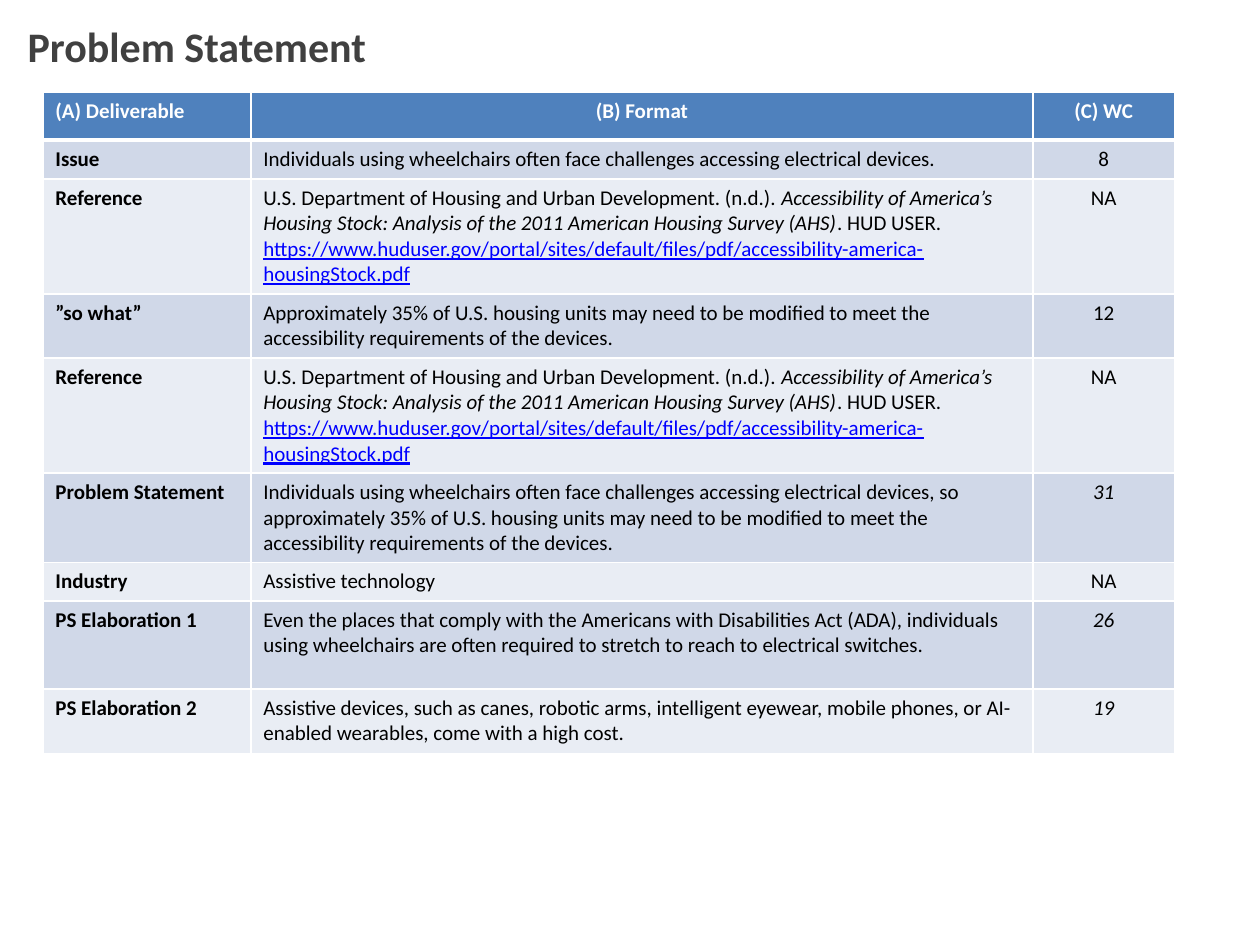
from lxml import etree
from pptx import Presentation
from pptx.dml.color import RGBColor
from pptx.enum.text import MSO_ANCHOR, PP_ALIGN
from pptx.oxml.ns import qn
from pptx.util import Inches, Pt

CENTER, LEFT = PP_ALIGN.CENTER, PP_ALIGN.LEFT
MIDDLE = MSO_ANCHOR.MIDDLE
FONT = "Calibri"
COLORS = {
    "title": "404040",
    "header": "4F81BD",
    "band_dark": "D0D8E8",
    "band_light": "E9EDF4",
    "white": "FFFFFF",
    "text": "000000",
    "link": "0000FF",
}
COLUMN_WIDTHS = [1.65, 6.21, 1.12]
ROW_HEIGHTS = [0.38, 0.31, 0.91, 0.51, 0.91, 0.71, 0.3, 0.7, 0.51]

# Each span is (text, style), where style is "", "italic" or "link".
CITATION = [
    ("U.S. Department of Housing and Urban Development. (n.d.). ", ""),
    ("Accessibility of America’s Housing Stock: Analysis of the 2011 "
     "American Housing Survey (AHS)", "italic"),
    (". HUD USER. ", ""),
    ("https://www.huduser.gov/portal/sites/default/files/pdf/"
     "accessibility-america-housingStock.pdf", "link"),
]
HEADERS = ["(A) Deliverable", "(B) Format", "(C) WC"]
# Deliverable, format spans, word count, style of the word count
ROWS = [
    ("Issue",
     [("Individuals using wheelchairs often face challenges accessing "
       "electrical devices.", "")], "8", ""),
    ("Reference", CITATION, "NA", ""),
    ("”so what”",
     [("Approximately 35% of U.S. housing units may need to be modified to "
       "meet the accessibility requirements of the devices.", "")], "12", ""),
    ("Reference", CITATION, "NA", ""),
    ("Problem Statement",
     [("Individuals using wheelchairs often face challenges accessing "
       "electrical devices, so approximately 35% of U.S. housing units may "
       "need to be modified to meet the accessibility requirements of the "
       "devices.", "")], "31", "italic"),
    ("Industry", [("Assistive technology", "")], "NA", ""),
    ("PS Elaboration 1",
     [("Even the places that comply with the Americans with Disabilities Act "
       "(ADA), individuals using wheelchairs are often required to stretch to "
       "reach to electrical switches.", "")], "26", "italic"),
    ("PS Elaboration 2",
     [("Assistive devices, such as canes, robotic arms, intelligent eyewear, "
       "mobile phones, or AI-enabled wearables, come with a high cost.", "")],
     "19", "italic"),
]


def rgb(name):
    return RGBColor.from_string(COLORS[name])


def add_span(para, text, size, color, bold=False, style=""):
    span = para.add_run()
    span.text = text
    font = span.font
    font.name, font.size, font.bold = FONT, Pt(size), bold
    font.italic = style == "italic"
    font.underline = style == "link"
    font.color.rgb = rgb("link" if style == "link" else color)


def set_borders(cell, top, bottom):
    """Draw white cell borders, one point wide at the sides."""
    properties = cell._tc.get_or_add_tcPr()
    widths = {"a:lnL": 1, "a:lnR": 1, "a:lnT": top, "a:lnB": bottom}
    for index, (tag, width) in enumerate(widths.items()):
        line = etree.Element(qn(tag), w=str(Pt(width)))
        fill = etree.SubElement(line, qn("a:solidFill"))
        etree.SubElement(fill, qn("a:srgbClr"), val=COLORS["white"])
        properties.insert(index, line)


def fill_cell(cell, spans, fill, color, bold=False, align=LEFT, top=1, bottom=1):
    cell.fill.solid()
    cell.fill.fore_color.rgb = rgb(fill)
    set_borders(cell, top, bottom)
    para = cell.text_frame.paragraphs[0]
    para.alignment = align
    for text, style in spans:
        add_span(para, text, 12, color, bold, style)


def add_title(page, text):
    box = page.shapes.add_textbox(Inches(0.12), Inches(0.11), Inches(8.48), Inches(0.5))
    frame = box.text_frame
    frame.word_wrap = True
    frame.vertical_anchor = MIDDLE
    add_span(frame.paragraphs[0], text, 24, "title", bold=True)


def add_deliverables_table(page):
    table = page.shapes.add_table(
        len(ROW_HEIGHTS), len(COLUMN_WIDTHS), Inches(0.34), Inches(0.73),
        Inches(sum(COLUMN_WIDTHS)), Inches(sum(ROW_HEIGHTS))).table
    for column, width in zip(table.columns, COLUMN_WIDTHS):
        column.width = Inches(width)
    for row, height in zip(table.rows, ROW_HEIGHTS):
        row.height = Inches(height)

    for column, text in enumerate(HEADERS):
        fill_cell(table.cell(0, column), [(text, "")], "header", "white", bold=True,
                  align=CENTER if column else LEFT, bottom=3)
    for row, (name, spans, count, count_style) in enumerate(ROWS, start=1):
        fill = "band_dark" if row % 2 else "band_light"
        contents = [[(name, "")], spans, [(count, count_style)]]
        for column, content in enumerate(contents):
            fill_cell(table.cell(row, column), content, fill, "text",
                      bold=column == 0, align=CENTER if column == 2 else LEFT,
                      top=3 if row == 1 else 1)


def main():
    deck = Presentation()
    deck.slide_width, deck.slide_height = Inches(10), Inches(7.5)
    page = deck.slides.add_slide(deck.slide_layouts[6])
    add_deliverables_table(page)
    add_title(page, "Problem Statement")
    deck.save("out.pptx")


if __name__ == "__main__":
    main()
